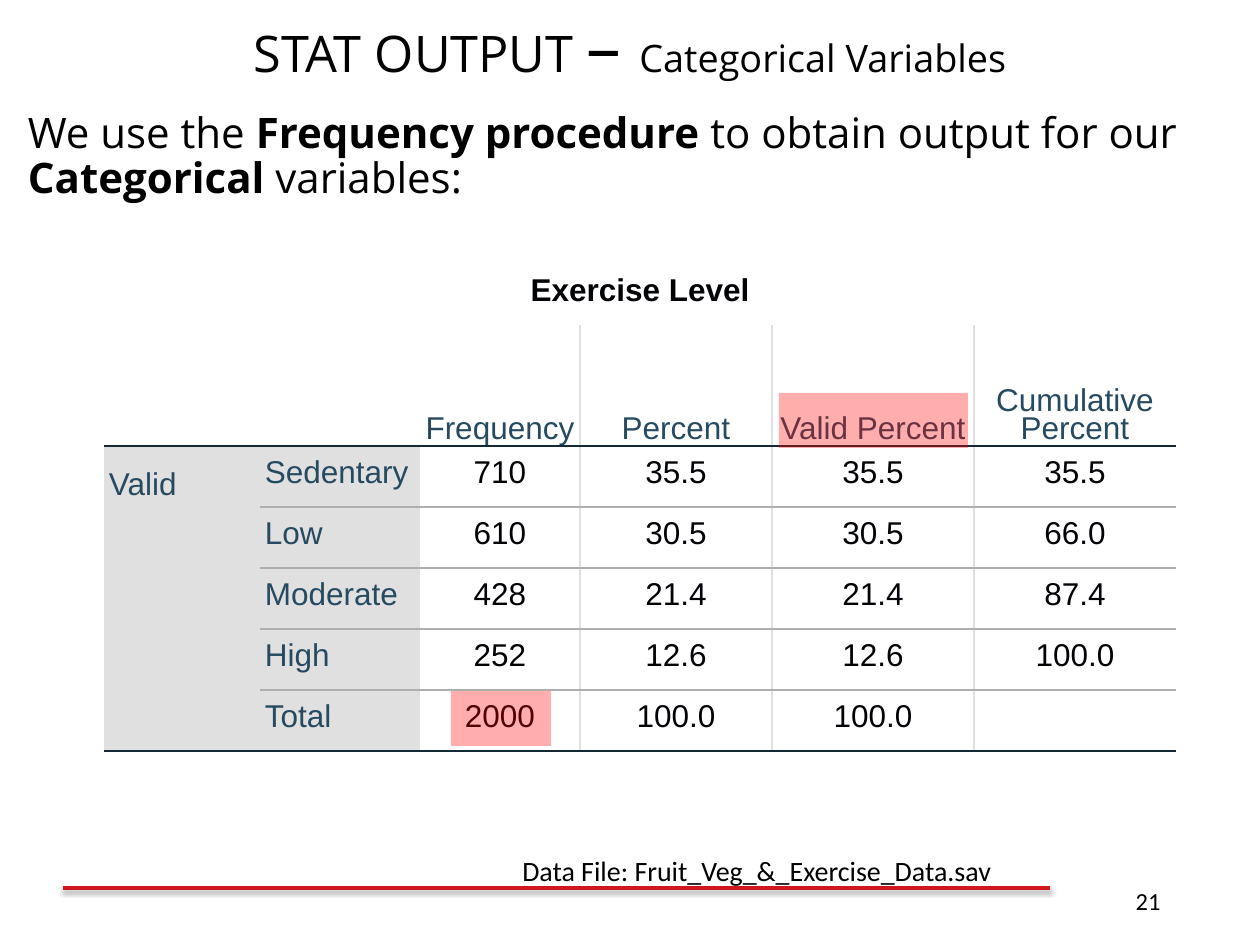
from lxml.etree import SubElement
from pptx import Presentation
from pptx.dml.color import RGBColor
from pptx.enum.shapes import MSO_CONNECTOR, MSO_SHAPE
from pptx.enum.text import MSO_ANCHOR, MSO_AUTO_SIZE, PP_ALIGN
from pptx.oxml import parse_xml
from pptx.oxml.ns import nsdecls, qn
from pptx.util import Emu, Pt


def px(*lengths):
    return [Emu(round(length * 914400 / 126)) for length in lengths]


def color(value):
    return RGBColor.from_string(value)


deck = Presentation()
deck.slide_width, deck.slide_height = px(1260, 945)
slide = deck.slides.add_slide(deck.slide_layouts[5])

title = slide.shapes.title
title.left, title.top, title.width, title.height = px(0, 0, 1260, 89)
title.text_frame.auto_size = MSO_AUTO_SIZE.NONE
title.text_frame.vertical_anchor = MSO_ANCHOR.MIDDLE
para = title.text_frame.paragraphs[0]
para.alignment = PP_ALIGN.CENTER
para.font.name = "Open Sans"
para.font.color.rgb = color("000000")
for text, size in [("STAT OUTPUT ", 28.8), ("– ", 39.6), ("Categorical Variables", 21.6)]:
    span = para.add_run()
    span.text = text
    span.font.size = Pt(size)

rule = slide.shapes.add_connector(MSO_CONNECTOR.STRAIGHT, *px(63, 888, 1050, 888))
rule.line.color.rgb = color("D1161E")
rule.line.width = Pt(2)
rule._element.spPr.append(parse_xml(
    f'<a:effectLst {nsdecls("a")}><a:outerShdw blurRad="39370" dist="20320" dir="5400000">'
    '<a:srgbClr val="000000"><a:alpha val="38000"/></a:srgbClr></a:outerShdw></a:effectLst>'))

BODY = [("We use the ", False), ("Frequency procedure ", True),
        ("to obtain output for our ", False), ("Categorical", True), (" variables:", False)]
TEXT_BOXES = [
    ((0, 106, 1260, 128), BODY, "Open Sans", 24, PP_ALIGN.LEFT, MSO_ANCHOR.TOP),
    ((410, 847, 600, 46), [("Data File: Fruit_Veg_&_Exercise_Data.sav ", False)],
     "Calibri", 16, PP_ALIGN.RIGHT, MSO_ANCHOR.TOP),
    ((890, 876, 283, 50), [("21", False)], "Calibri", 14, PP_ALIGN.RIGHT, MSO_ANCHOR.MIDDLE),
]
for place, spans, font, size, alignment, anchor in TEXT_BOXES:
    box = slide.shapes.add_textbox(*px(*place))
    frame = box.text_frame
    frame.word_wrap = True
    frame.vertical_anchor = anchor
    para = frame.paragraphs[0]
    para.alignment = alignment
    para.font.name = font
    para.font.size = Pt(size)
    para.font.color.rgb = color("000000")
    for text, bold in spans:
        span = para.add_run()
        span.text = text
        span.font.bold = bold
    if spans is BODY:
        frame.margin_left, = px(28)
        para.line_spacing = 0.9

ROWS = [
    ["Exercise Level", "", "", "", "", ""],
    ["", "", "Frequency", "Percent", "Valid Percent", "Cumulative Percent"],
    ["Valid", "Sedentary", "710", "35.5", "35.5", "35.5"],
    ["", "Low", "610", "30.5", "30.5", "66.0"],
    ["", "Moderate", "428", "21.4", "21.4", "87.4"],
    ["", "High", "252", "12.6", "12.6", "100.0"],
    ["", "Total", "2000", "100.0", "100.0", ""],
]
WIDTHS = [156, 160, 160, 192, 202, 202]
HEIGHTS = [61, 121, 61, 61, 61, 61, 61]
GRID, RULE, DARK = "E0E0E0", "AEAEAE", "152935"
table = slide.shapes.add_table(
    len(ROWS), len(WIDTHS), *px(104, 264, sum(WIDTHS), sum(HEIGHTS))).table
table.first_row = table.horz_banding = False
for column, width in zip(table.columns, px(*WIDTHS)):
    column.width = width
for row, height in zip(table.rows, px(*HEIGHTS)):
    row.height = height
table.cell(0, 0).merge(table.cell(0, 5))
table.cell(1, 0).merge(table.cell(1, 1))
table.cell(2, 0).merge(table.cell(6, 0))

for r, texts in enumerate(ROWS):
    for c, text in enumerate(texts):
        cell = table.cell(r, c)
        inner_rule = RULE if c > 0 else None
        borders = {
            "a:lnL": GRID if r > 0 and c > 2 else None,
            "a:lnR": GRID if r > 0 and 2 <= c < 5 else None,
            "a:lnT": DARK if r == 2 else inner_rule if r > 2 else None,
            "a:lnB": DARK if r in (1, 6) or (r, c) == (2, 0) else inner_rule if r > 1 else None,
        }
        properties = cell._tc.get_or_add_tcPr()
        for tag, border in borders.items():
            line = SubElement(properties, qn(tag), w="12700")
            if border:
                SubElement(SubElement(line, qn("a:solidFill")), qn("a:srgbClr"), val=border)
            else:
                SubElement(line, qn("a:noFill"))
        is_label = r > 1 and c < 2
        cell.fill.solid()
        cell.fill.fore_color.rgb = color("E0E0E0" if is_label else "FFFFFF")
        cell.margin_left, cell.margin_right, cell.margin_top, cell.margin_bottom = px(5, 5, 0, 0)
        cell.vertical_anchor = MSO_ANCHOR.BOTTOM if r == 1 else MSO_ANCHOR.MIDDLE
        if text == "Valid":
            cell.vertical_anchor = MSO_ANCHOR.TOP
            cell.margin_top, = px(28)
        cell.text = text
        para = cell.text_frame.paragraphs[0]
        para.alignment = PP_ALIGN.LEFT if is_label else PP_ALIGN.CENTER
        para.line_spacing = Pt(16)
        para.font.name = "Arial"
        para.font.size = Pt(18)
        para.font.bold = r == 0
        para.font.color.rgb = color("264A60" if r == 1 or is_label else "010205")

for place in [(451, 691, 100, 55), (779, 393, 189, 55)]:
    highlight = slide.shapes.add_shape(MSO_SHAPE.RECTANGLE, *px(*place))
    highlight.shadow.inherit = False
    highlight.line.fill.background()
    highlight.fill.solid()
    highlight.fill.fore_color.rgb = color("FF0000")
    fill_color = highlight._element.spPr.find(qn("a:solidFill")).find(qn("a:srgbClr"))
    SubElement(fill_color, qn("a:alpha"), val="32000")

deck.save("out.pptx")
